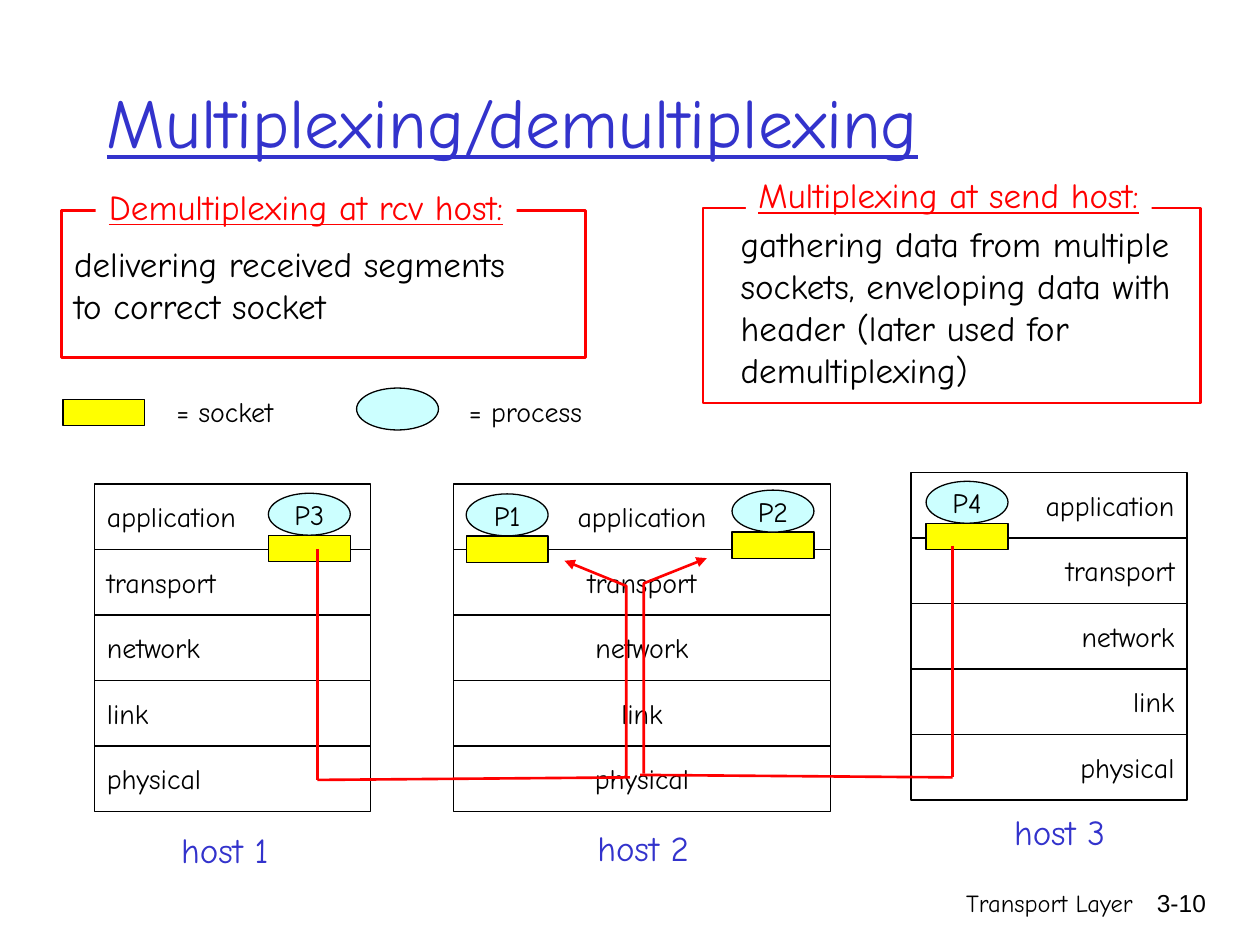
from dataclasses import dataclass
from typing import Optional

from lxml.etree import SubElement
from pptx import Presentation
from pptx.dml.color import RGBColor
from pptx.enum.shapes import MSO_CONNECTOR, MSO_SHAPE
from pptx.enum.text import MSO_ANCHOR, PP_ALIGN
from pptx.oxml.ns import qn
from pptx.util import Inches, Pt

COLORS = {
    "ink": "000000",
    "paper": "FFFFFF",
    "heading": "3333CC",
    "accent": "FF0000",
    "socket": "FFFF00",
    "process": "CCFFFF",
}
HAND, PLAIN = "Comic Neue", "Arial"
COLUMNS, ROWS = 100, 75
CELL = Inches(0.1)
LAYERS = ("application", "transport", "network", "link", "physical")
LAYER_ROWS = 5.2
SYMBOL_COLUMNS, SOCKET_ROWS, PROCESS_ROWS = 6.5, 2.1, 3.33
LEFT, CENTER, RIGHT = PP_ALIGN.LEFT, PP_ALIGN.CENTER, PP_ALIGN.RIGHT

Point = tuple[float, float]


@dataclass(frozen=True)
class Area:
    """A block of grid cells."""
    column: float
    row: float
    columns: float
    rows: float

    def lengths(self) -> list[int]:
        """Give left, top, width and height on the slide."""
        return [cells(n) for n in (self.column, self.row, self.columns, self.rows)]


@dataclass(frozen=True)
class Style:
    """The look of a piece of text."""
    size: float = 16
    color: str = "ink"
    align: PP_ALIGN = LEFT
    font: str = HAND
    underline: bool = False
    wrap: bool = True
    anchor: MSO_ANCHOR = MSO_ANCHOR.TOP


@dataclass(frozen=True)
class Host:
    """A protocol stack with its caption."""
    name: str
    column: float
    row: float
    columns: float
    align: PP_ALIGN
    caption: Area


@dataclass(frozen=True)
class Process:
    """A process sitting on its socket."""
    name: str
    column: float
    row: float


@dataclass(frozen=True)
class Route:
    """The way of a segment from a socket to another host."""
    source: Point
    bottom: Point
    crossing: Point
    delivery: tuple[Point, Point, Point]


@dataclass(frozen=True)
class Definition:
    """A framed explanation with its heading."""
    heading: str
    heading_area: Area
    frame: Area
    lines: tuple[str, ...]
    text_area: Area
    anchor: MSO_ANCHOR


HOSTS = (
    Host("host 1", 7.5, 38.4, 21.9, LEFT, Area(12.7, 65.3, 10.3, 4.4)),
    Host("host 3", 72.3, 37.5, 21.9, RIGHT, Area(78.95, 63.8, 10.3, 4.4)),
    Host("host 2", 36, 38.4, 29.9, CENTER, Area(45.9, 65.1, 10.3, 4.4)),
)
PROCESSES = (
    Process("P2", 58.1, 38.9),
    Process("P3", 21.3, 39.15),
    Process("P4", 73.5, 38.2),
    Process("P1", 37, 39.2),
)
ROUTES = (
    Route((25.2, 43.6), (25.2, 61.9), (50, 61.7),
          ((49.7, 61.7), (49.7, 46.5), (44.8, 44.5))),
    Route((75.6, 43.3), (75.6, 61.7), (50.8, 61.5),
          ((51.1, 61.4), (51.1, 46.3), (56.1, 44.3))),
)
RECEIVING_FRAME = Area(4.9, 16.7, 41.6, 11.7)
DEFINITIONS = (
    Definition("Demultiplexing at rcv host:", Area(7.6, 14.2, 33.4, 4.4), RECEIVING_FRAME,
               ("delivering received segments", "to correct socket"),
               RECEIVING_FRAME, MSO_ANCHOR.MIDDLE),
    Definition("Multiplexing at send host:", Area(59.2, 13.3, 32.2, 4.4),
               Area(55.8, 16.5, 39.5, 15.5),
               ("gathering data from multiple", "sockets, enveloping data with",
                "header (later used for", "demultiplexing)"),
               Area(57.8, 17.2, 37.2, 14.4), MSO_ANCHOR.TOP),
)


def cells(count: float) -> int:
    """Turn grid cells into a length."""
    return round(count * CELL)


def rgb(name: str) -> RGBColor:
    """Look up a named colour."""
    return RGBColor.from_string(COLORS[name])


def write(owner, lines: tuple[str, ...], style: Style) -> None:
    """Fill a shape with one paragraph per line."""
    frame = owner.text_frame
    frame.word_wrap = style.wrap
    frame.vertical_anchor = style.anchor
    for index, line in enumerate(lines):
        paragraph = frame.add_paragraph() if index else frame.paragraphs[0]
        paragraph.alignment = style.align
        run = paragraph.add_run()
        run.text = line
        run.font.name = style.font
        run.font.size = Pt(style.size)
        run.font.underline = style.underline
        run.font.color.rgb = rgb(style.color)


def add_text(slide, area: Area, style: Style, *lines: str):
    """Place a text box and return it."""
    box = slide.shapes.add_textbox(*area.lengths())
    write(box, lines, style)
    return box


def add_figure(slide, kind: MSO_SHAPE, area: Area, fill: Optional[str],
               line: str = "ink", weight: float = 0.75):
    """Place an outlined preset shape and return it."""
    figure = slide.shapes.add_shape(kind, *area.lengths())
    figure.shadow.inherit = False
    if fill:
        figure.fill.solid()
        figure.fill.fore_color.rgb = rgb(fill)
    else:
        figure.fill.background()
    figure.line.color.rgb = rgb(line)
    figure.line.width = Pt(weight)
    return figure


def add_socket(slide, column: float, row: float) -> None:
    """Draw a socket."""
    add_figure(slide, MSO_SHAPE.RECTANGLE, Area(column, row, SYMBOL_COLUMNS, SOCKET_ROWS), "socket")


def add_oval(slide, column: float, row: float):
    """Draw a process oval and return it."""
    return add_figure(slide, MSO_SHAPE.OVAL, Area(column, row, SYMBOL_COLUMNS, PROCESS_ROWS), "process")


def add_stack(slide, host: Host) -> None:
    """Draw the layers of a host."""
    style = Style(align=host.align, anchor=MSO_ANCHOR.MIDDLE)
    for index, layer in enumerate(LAYERS):
        area = Area(host.column, host.row + index * LAYER_ROWS, host.columns, LAYER_ROWS)
        write(add_figure(slide, MSO_SHAPE.RECTANGLE, area, "paper"), (layer,), style)


def add_process(slide, process: Process) -> None:
    """Draw a named process on its socket."""
    add_socket(slide, process.column, process.row + PROCESS_ROWS)
    write(add_oval(slide, process.column, process.row), (process.name,),
          Style(align=CENTER, wrap=False, anchor=MSO_ANCHOR.MIDDLE))


def add_route(slide, route: Route) -> None:
    """Draw the way down, across and up to the receiving socket."""
    for start, end in ((route.source, route.bottom), (route.bottom, route.crossing)):
        wire = slide.shapes.add_connector(MSO_CONNECTOR.STRAIGHT, *map(cells, start + end))
        SubElement(wire._element.spPr, qn("a:effectLst"))
        wire.line.color.rgb = rgb("accent")
        wire.line.width = Pt(1.5)
    first, *rest = [tuple(map(cells, point)) for point in route.delivery]
    builder = slide.shapes.build_freeform(*first)
    builder.add_line_segments(rest, close=False)
    delivery = builder.convert_to_shape()
    delivery.shadow.inherit = False
    delivery.fill.background()
    delivery.line.color.rgb = rgb("accent")
    delivery.line.width = Pt(1.5)
    SubElement(delivery.line._get_or_add_ln(), qn("a:tailEnd"), type="triangle")


def add_definition(slide, definition: Definition) -> None:
    """Draw a frame, its text and the heading that breaks its top edge."""
    add_figure(slide, MSO_SHAPE.RECTANGLE, definition.frame, None, "accent", 1.5)
    add_text(slide, definition.text_area, Style(20, anchor=definition.anchor), *definition.lines)
    heading = add_text(slide, definition.heading_area,
                       Style(20, "accent", CENTER, underline=True, wrap=False), definition.heading)
    heading.fill.solid()
    heading.fill.fore_color.rgb = rgb("paper")


def main() -> None:
    """Build the slide and save it."""
    deck = Presentation()
    deck.slide_width, deck.slide_height = cells(COLUMNS), cells(ROWS)
    slide = deck.slides.add_slide(deck.slide_layouts[6])
    add_text(slide, Area(59.2, 70, 31.7, 5), Style(14, align=RIGHT), "Transport Layer")
    add_text(slide, Area(89.3, 70, 7.4, 5), Style(14, align=RIGHT, font=PLAIN), "3-10")
    add_text(slide, Area(7.5, 3.3, 85, 12.5),
             Style(40, "heading", underline=True, anchor=MSO_ANCHOR.MIDDLE),
             "Multiplexing/demultiplexing")
    for host in HOSTS:
        add_stack(slide, host)
        add_text(slide, host.caption, Style(20, "heading", CENTER, wrap=False), host.name)
    for process in PROCESSES:
        add_process(slide, process)
    for route in ROUTES:
        add_route(slide, route)
    add_socket(slide, 5, 31.7)
    add_oval(slide, 28.3, 30.8)
    legend = Style(align=CENTER, wrap=False)
    add_text(slide, Area(13, 30.8, 9.7, 3.7), legend, "= socket")
    add_text(slide, Area(36.2, 30.8, 11, 3.7), legend, "= process")
    for definition in DEFINITIONS:
        add_definition(slide, definition)
    deck.save("out.pptx")


if __name__ == "__main__":
    main()
